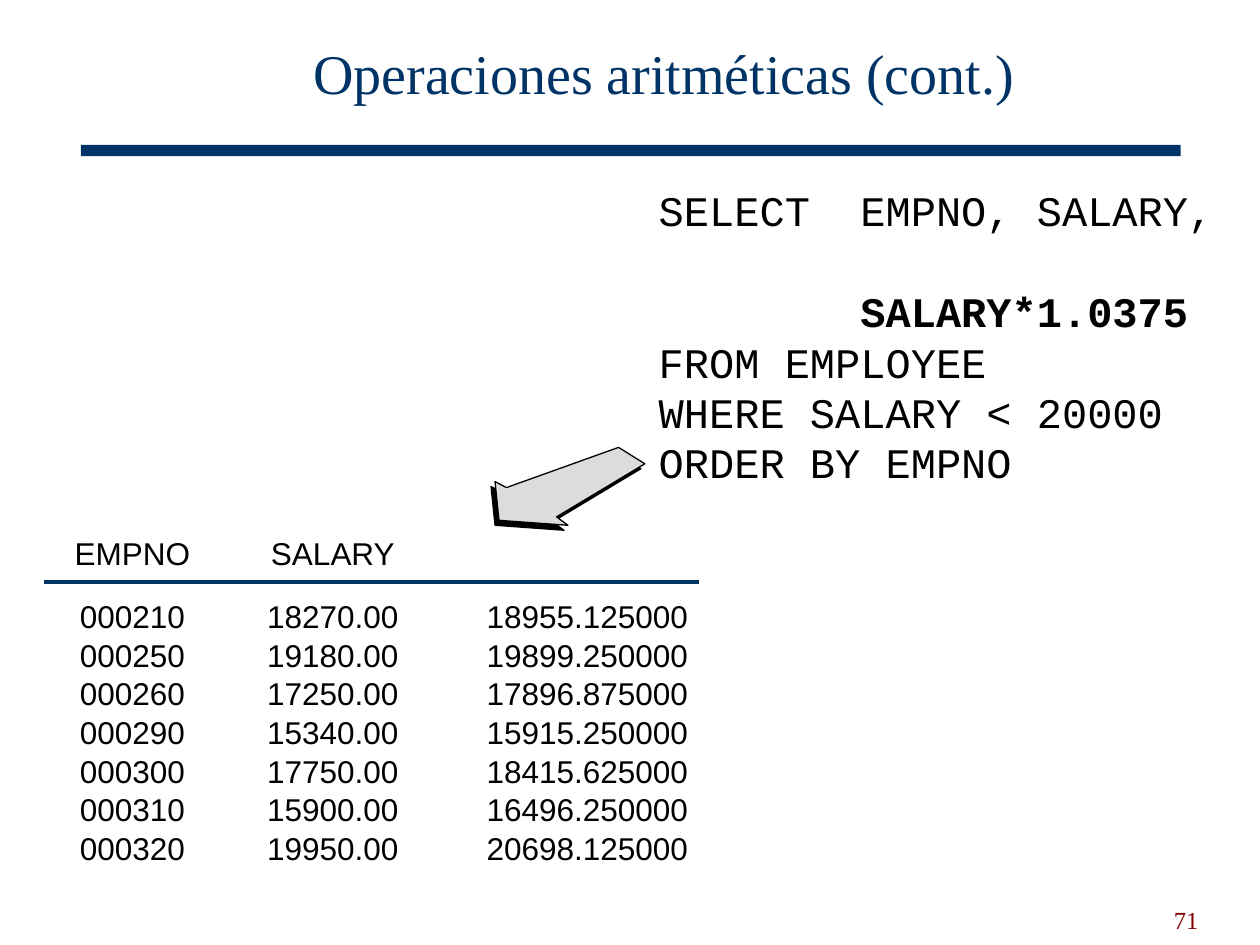
from lxml import etree
from pptx import Presentation
from pptx import util as u
from pptx.dml.color import RGBColor
from pptx.enum import shapes, text
from pptx.oxml.ns import qn

NAVY = RGBColor(0x00, 0x33, 0x66)
MAROON = RGBColor(0x80, 0x00, 0x00)
BLACK = RGBColor(0x00, 0x00, 0x00)
GREY = RGBColor(0xDC, 0xDC, 0xDC)

ROWS = [
    ("EMPNO", "SALARY", ""),
    ("000210", "18270.00", "18955.125000"),
    ("000250", "19180.00", "19899.250000"),
    ("000260", "17250.00", "17896.875000"),
    ("000290", "15340.00", "15915.250000"),
    ("000300", "17750.00", "18415.625000"),
    ("000310", "15900.00", "16496.250000"),
    ("000320", "19950.00", "20698.125000"),
]
ARROW = [(3.02, 0.33), (2.49, 0), (0.23, 0.81), (0, 0.69),
         (0.08, 1.47), (1.47, 1.57), (1.24, 1.4)]


def set_font(p, name, size, color):
    p.font.name = name
    p.font.size = u.Pt(size)
    p.font.color.rgb = color


def place(sp, left, top, width, height):
    sp.left, sp.top = u.Cm(left), u.Cm(top)
    sp.width, sp.height = u.Cm(width), u.Cm(height)


def add_title(s, left, top, width, height):
    title = s.shapes.title
    place(title, left + 1.5, top, width - 1.65, 2.39)
    tf = title.text_frame
    tf.vertical_anchor = text.MSO_ANCHOR.MIDDLE
    tf.text = "Operaciones aritméticas (cont.)"
    p = tf.paragraphs[0]
    p.alignment = text.PP_ALIGN.CENTER
    p.line_spacing = 0.85
    set_font(p, "Times New Roman", 32, NAVY)

    bar_height = 0.23
    bar = s.shapes.add_shape(
        shapes.MSO_SHAPE.RECTANGLE, u.Cm(left), u.Cm(top + height - bar_height),
        u.Cm(width), u.Cm(bar_height))
    bar.shadow.inherit = False
    bar.fill.solid()
    bar.fill.fore_color.rgb = NAVY
    bar.line.fill.background()


def add_query(s, left, top, width, height):
    box = s.shapes.add_textbox(u.Cm(left), u.Cm(top), u.Cm(width), u.Cm(height))
    tf = box.text_frame
    tf.word_wrap = False
    tf.margin_left = tf.margin_top = tf.margin_right = tf.margin_bottom = 0
    p = tf.paragraphs[0]
    p.add_run().text = "SELECT  EMPNO, SALARY, "
    p.add_line_break()
    p.add_run().text = "        "
    r = p.add_run()
    r.text = "SALARY*1.0375"
    r.font.bold = True
    for line in ("FROM EMPLOYEE", "WHERE SALARY < 20000", "ORDER BY EMPNO"):
        tf.add_paragraph().text = line
    for p in tf.paragraphs:
        set_font(p, "Courier New", 24, BLACK)


def add_arrow(s, left, top):
    for dx, dy, color in ((-0.08, 0.1, BLACK), (0, 0, GREY)):
        points = [(u.Cm(left + dx + x), u.Cm(top + dy + y)) for x, y in ARROW]
        builder = s.shapes.build_freeform(*points[0])
        builder.add_line_segments(points[1:], close=True)
        sp = builder.convert_to_shape()
        sp.shadow.inherit = False
        sp.fill.solid()
        sp.fill.fore_color.rgb = color
        sp.line.color.rgb = BLACK
        sp.line.width = u.Pt(0.75)


def add_results(s, left, top, col_widths, header_height, row_height):
    frame = s.shapes.add_table(
        len(ROWS), len(col_widths), u.Cm(left), u.Cm(top), u.Cm(sum(col_widths)),
        u.Cm(header_height + row_height * (len(ROWS) - 1)))
    table = frame.table
    table.first_row = table.horz_banding = False
    for col, width in zip(table.columns, col_widths):
        col.width = u.Cm(width)
    for i, values in enumerate(ROWS):
        table.rows[i].height = u.Cm(row_height if i else header_height)
        for cell, value in zip(table.rows[i].cells, values):
            cell.fill.background()
            cell.margin_left = cell.margin_top = 0
            cell.margin_right = cell.margin_bottom = 0
            cell.text = value
            p = cell.text_frame.paragraphs[0]
            p.alignment = text.PP_ALIGN.CENTER
            set_font(p, "Arial", 18, BLACK)

    rule_y = u.Cm(top + 0.91)
    rule = s.shapes.add_connector(
        shapes.MSO_CONNECTOR.STRAIGHT, u.Cm(left), rule_y, u.Cm(left + 13.2), rule_y)
    rule.line.color.rgb = NAVY
    rule.line.width = u.Pt(2.25)
    etree.SubElement(rule._element.spPr, qn("a:effectLst"))


def add_page_number(s, left, top, width, height):
    box = s.shapes.add_textbox(u.Cm(left), u.Cm(top), u.Cm(width), u.Cm(height))
    tf = box.text_frame
    tf.word_wrap = True
    tf.vertical_anchor = text.MSO_ANCHOR.BOTTOM
    tf.text = "71"
    p = tf.paragraphs[0]
    p.alignment = text.PP_ALIGN.RIGHT
    set_font(p, "Times New Roman", 14, MAROON)


def main():
    prs = Presentation()
    prs.slide_width, prs.slide_height = u.Cm(25.4), u.Cm(19.05)
    s = prs.slides.add_slide(prs.slide_layouts[5])
    add_title(s, 1.63, 0.36, 22.17, 2.79)
    add_page_number(s, 18.31, 17.7, 6.1, 1.27)
    add_query(s, 13.28, 3.73, 11.68, 5.08)
    add_arrow(s, 9.98, 9.02)
    add_results(s, 0.89, 10.82, (3.56, 4.52, 5.74), 1.27, 0.78)
    prs.save("out.pptx")


if __name__ == "__main__":
    main()
